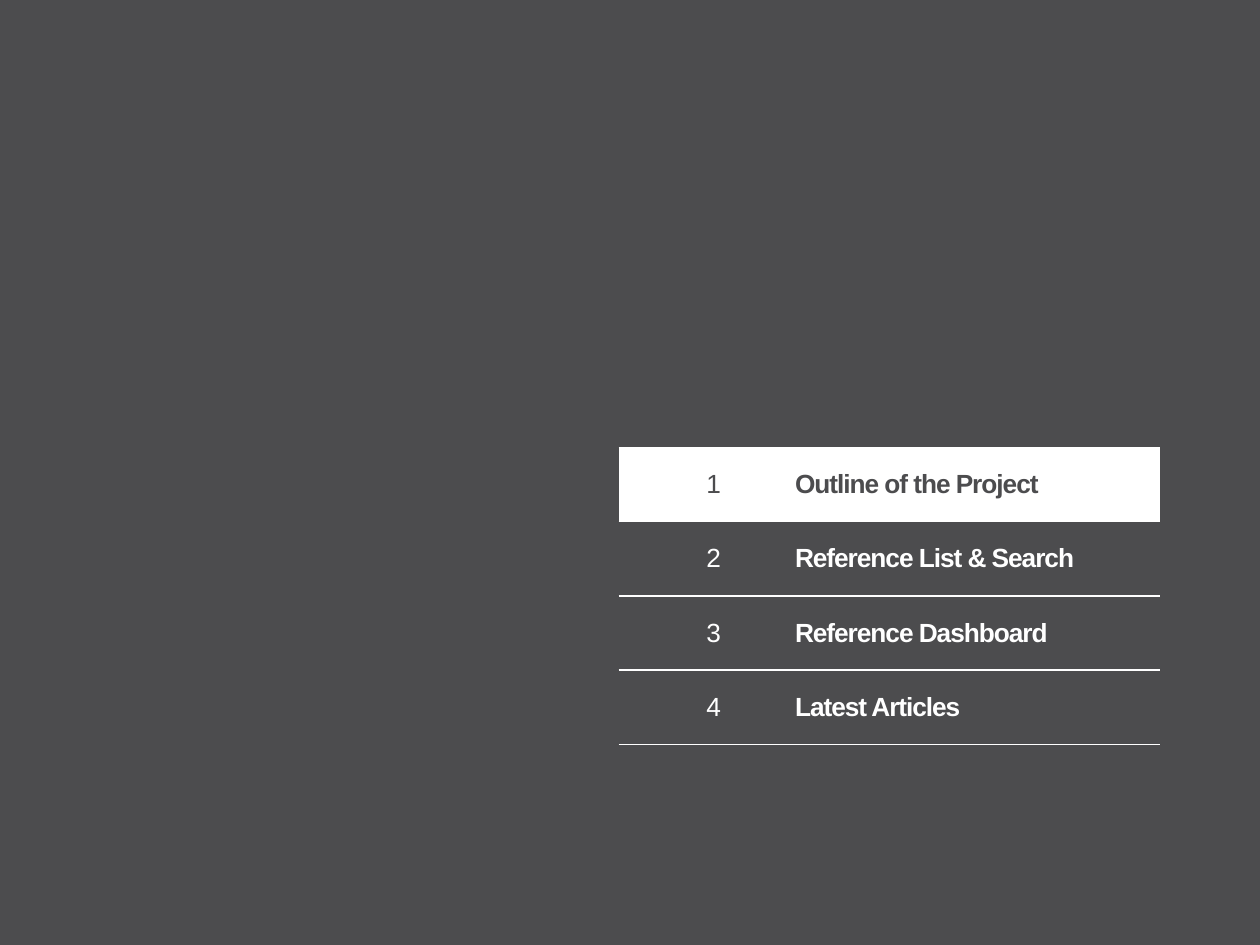
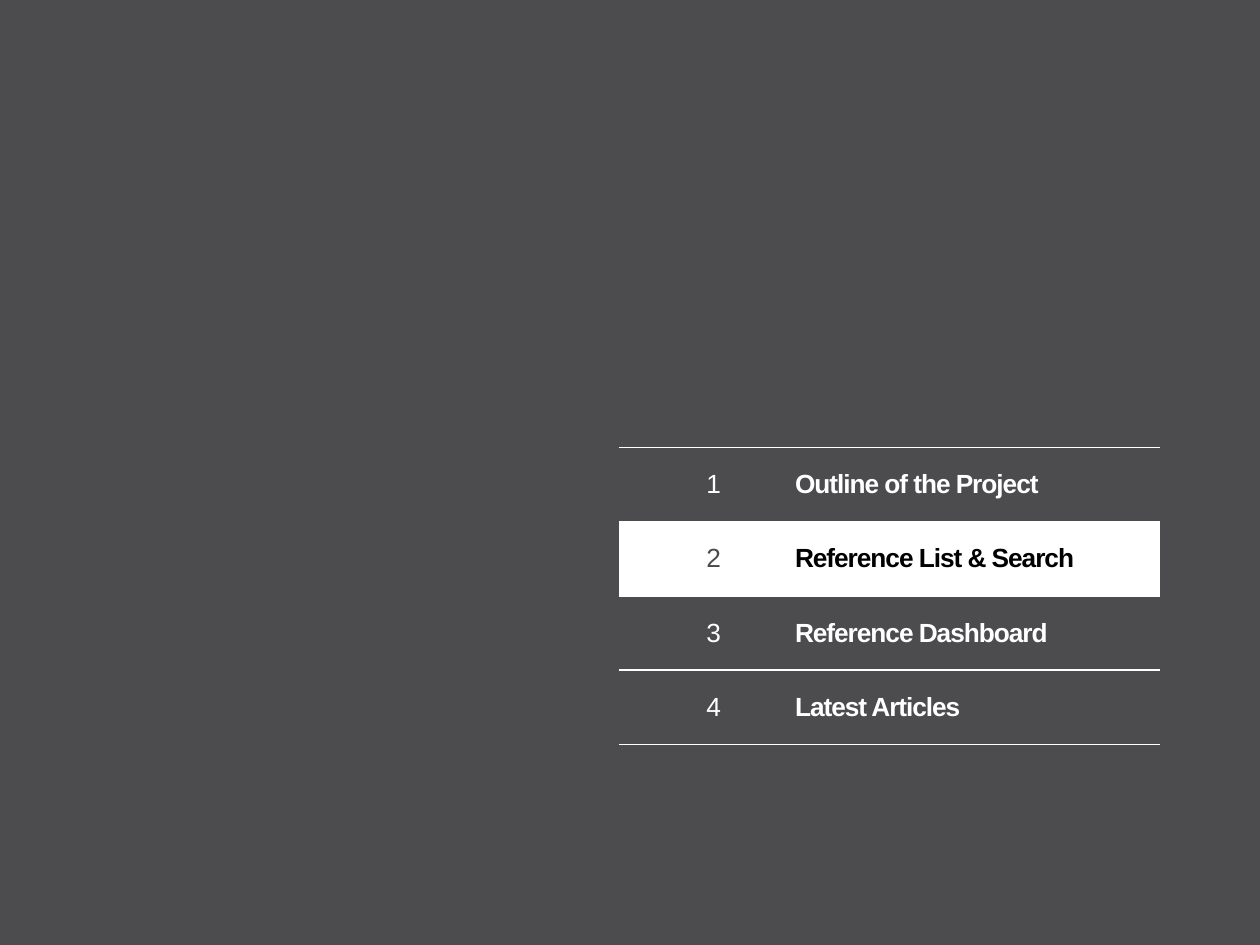
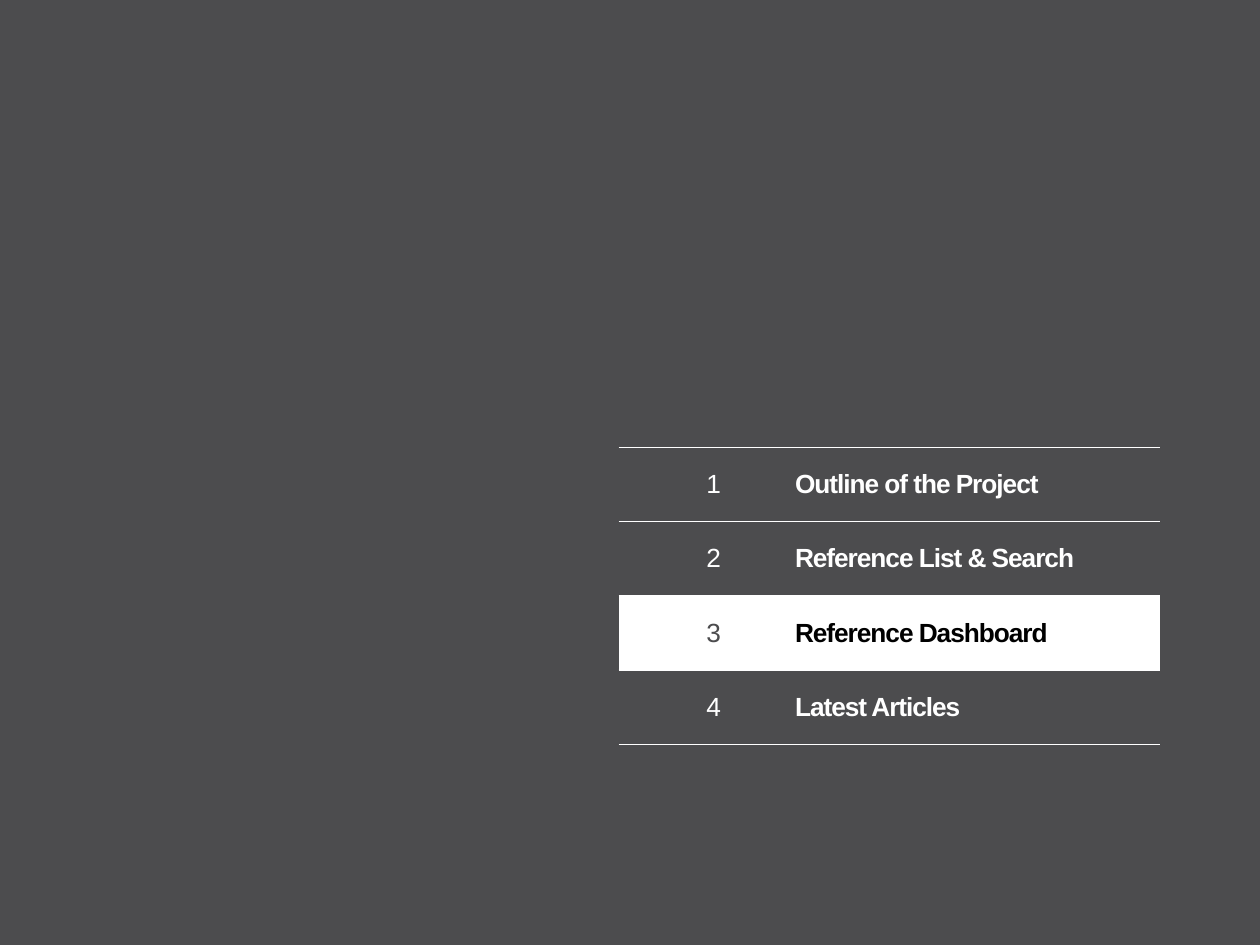
from lxml.etree import SubElement
from pptx import Presentation
from pptx.dml.color import RGBColor
from pptx.enum.text import MSO_ANCHOR, PP_ALIGN
from pptx.oxml.ns import qn
from pptx.util import Inches, Pt

GREY = RGBColor(0x4C, 0x4C, 0x4E)
WHITE = RGBColor(0xFF, 0xFF, 0xFF)
BLACK = RGBColor(0x00, 0x00, 0x00)
FONT = "Arial"
BLANK_LAYOUT = 6

CHAPTERS = [
    "Outline of the Project",
    "Reference List & Search",
    "Reference Dashboard",
    "Latest Articles",
]
# Highlighted chapter of each slide and the colour of its name
AGENDAS = [(0, GREY), (1, BLACK), (2, BLACK)]

LEFT, TOP = 4.91, 3.55
COL_WIDTHS = [1.3, 3]
ROW_HEIGHT = 0.59


class Deck:
    """Holds the shared style and the current slide."""

    def __init__(self):
        self.prs = Presentation()
        self.prs.slide_width, self.prs.slide_height = Inches(10), Inches(7.5)
        fill = self.prs.slide_master.background.fill
        fill.solid()
        fill.fore_color.rgb = GREY
        self.s = None

    def new_slide(self):
        self.s = self.prs.slides.add_slide(self.prs.slide_layouts[BLANK_LAYOUT])

    def rules(self, cell):
        """White rules above and below a cell, none at its sides."""
        tc_pr = cell._tc.get_or_add_tcPr()
        for tag in ("a:lnL", "a:lnR"):
            SubElement(SubElement(tc_pr, qn(tag)), qn("a:noFill"))
        for tag in ("a:lnT", "a:lnB"):
            ln = SubElement(tc_pr, qn(tag), w=str(Pt(1)))
            solid = SubElement(ln, qn("a:solidFill"))
            SubElement(solid, qn("a:srgbClr"), val=str(WHITE))

    def cell(self, cell, text, color, fill=None):
        self.rules(cell)
        if fill is None:
            cell.fill.background()
        else:
            cell.fill.solid()
            cell.fill.fore_color.rgb = fill
        cell.vertical_anchor = MSO_ANCHOR.MIDDLE
        p = cell.text_frame.paragraphs[0]
        before = SubElement(p._p.get_or_add_pPr(), qn("a:spcBef"))
        SubElement(before, qn("a:spcPct"), val="20000")
        r = p.add_run()
        r.text = text
        r.font.name, r.font.size = FONT, Pt(15)
        r.font.color.rgb = color
        return p, r

    def number_cell(self, cell, number, color, fill):
        cell.margin_left = Inches(0.31)
        p, r = self.cell(cell, str(number), color, fill)
        p.alignment = PP_ALIGN.CENTER
        r.font.bold = False

    def name_cell(self, cell, name, color, fill):
        p, r = self.cell(cell, name, color, fill)
        r.font.bold = True
        r._r.get_or_add_rPr().set("spc", "-60")

    def agenda(self, chapters, active, active_color):
        rows = len(chapters)
        table = self.s.shapes.add_table(
            rows, len(COL_WIDTHS), Inches(LEFT), Inches(TOP),
            Inches(sum(COL_WIDTHS)), Inches(rows * ROW_HEIGHT)).table
        table.first_row = table.horz_banding = False
        for column, width in zip(table.columns, COL_WIDTHS):
            column.width = Inches(width)
        for i, name in enumerate(chapters):
            table.rows[i].height = Inches(ROW_HEIGHT)
            if i == active:
                number_color, name_color, fill = GREY, active_color, WHITE
            else:
                number_color, name_color, fill = WHITE, WHITE, None
            self.number_cell(table.cell(i, 0), i + 1, number_color, fill)
            self.name_cell(table.cell(i, 1), name, name_color, fill)


def main():
    deck = Deck()
    # One agenda slide per highlighted chapter
    for active, color in AGENDAS:
        deck.new_slide()
        deck.agenda(CHAPTERS, active, color)
    deck.prs.save("out.pptx")


if __name__ == "__main__":
    main()
